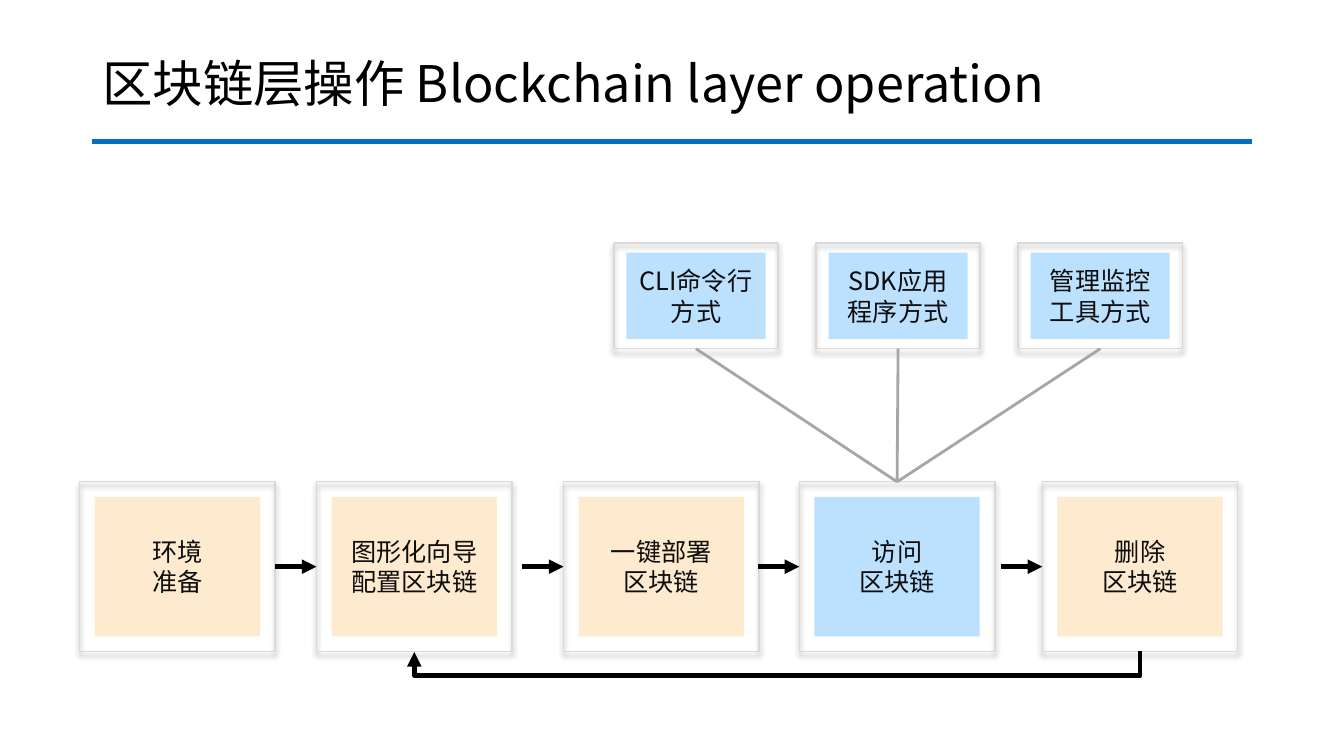
import lxml.etree
import pptx
import pptx.dml.color
import pptx.enum.shapes
import pptx.enum.text
import pptx.oxml.ns
import pptx.util

COLUMNS, ROWS = 160, 90
CELL = pptx.util.Emu(76200)
FONT = "Noto Sans CJK SC"
COLORS = {
    "title": "000000", "rule": "0071C1", "label": "0D0D0D", "frame": "D9D9D9",
    "step": "FEEACE", "access": "BCE1FE", "arrow": "000000", "spoke": "A6A6A6",
}
STEP_ROW, STEP_WIDTH, STEP_HEIGHT = 57.36, 23.28, 20.2
STEP_INSET = (1.8, 1.8)
STEPS = [
    (9.48, "环境\n准备", "step"),
    (37.68, "图形化向导\n配置区块链", "step"),
    (67.08, "一键部署\n区块链", "step"),
    (95.16, "访问\n区块链", "access"),
    (124.08, "删除\n区块链", "step"),
]
WAY_LEFT, WAY_PITCH, WAY_ROW, WAY_WIDTH, WAY_HEIGHT = 73.08, 24.06, 28.92, 19.56, 12.6
WAY_INSET = (1.5, 1.15)
WAYS = ["CLI命令行方式", "SDK应用程序方式", "管理监控工具方式"]
ARROW_LENGTH = 4.9
RETURN_DROP, RETURN_OFFSET = 3, 0.12
TOP_SITE, BOTTOM_SITE = 0, 2


def grid(*lengths):
    return [pptx.util.Emu(round(length * CELL)) for length in lengths]


def color(name):
    return pptx.dml.color.RGBColor.from_string(COLORS[name])


def add_xml(parent, tag, **attributes):
    return lxml.etree.SubElement(parent, pptx.oxml.ns.qn(tag), attributes)


def write(frame, text, size, color_name, align):
    frame.word_wrap = True
    frame.vertical_anchor = pptx.enum.text.MSO_ANCHOR.MIDDLE
    frame.text = text
    for paragraph in frame.paragraphs:
        paragraph.alignment = align
        paragraph.font.size = pptx.util.Pt(size)
        paragraph.font.color.rgb = color(color_name)
        paragraph.font.name = FONT
        defaults = paragraph.font.fill._xPr
        add_xml(defaults, "a:ea", typeface=FONT)


def add_title(slide, text):
    title = slide.shapes.add_textbox(*grid(11, 4.8, 138, 11)).text_frame
    write(title, text, 36, "title", pptx.enum.text.PP_ALIGN.LEFT)
    title.paragraphs[0].line_spacing = 0.9


def add_rect(slide, left, top, width, height):
    rect = slide.shapes.add_shape(
        pptx.enum.shapes.MSO_SHAPE.RECTANGLE, *grid(left, top, width, height))
    rect.shadow.inherit = False
    return rect


def add_framed_box(slide, left, top, width, height, inset, text, fill):
    frame = add_rect(slide, left, top, width, height)
    frame.fill.background()
    frame.line.color.rgb = color("frame")
    frame.line.width = pptx.util.Pt(1)
    effects = frame._element.spPr.find(pptx.oxml.ns.qn("a:effectLst"))
    shadow = add_xml(effects, "a:outerShdw", blurRad="50800", dist="38100",
                     dir="5400000", algn="t", rotWithShape="0")
    add_xml(add_xml(shadow, "a:srgbClr", val="000000"), "a:alpha", val="40000")

    across, down = inset
    label = add_rect(slide, left + across, top + down,
                     width - 2 * across, height - 2 * down)
    label.fill.solid()
    label.fill.fore_color.rgb = color(fill)
    label.line.fill.background()
    label.text_frame.margin_left = label.text_frame.margin_right = pptx.util.Inches(0.08)
    write(label.text_frame, text, 18, "label", pptx.enum.text.PP_ALIGN.CENTER)
    return frame


def add_line(slide, start, end, color_name, width, arrow=False, kind="STRAIGHT"):
    line = slide.shapes.add_connector(
        pptx.enum.shapes.MSO_CONNECTOR[kind], *grid(*start, *end))
    line.line.color.rgb = color(color_name)
    line.line.width = pptx.util.Pt(width)
    if arrow:
        add_xml(line.line._get_or_add_ln(), "a:tailEnd", type="triangle")
    add_xml(line._element.spPr, "a:effectLst")
    return line


def add_return_arrow(slide, start_column, end_column, row):
    middle = (start_column + end_column) / 2
    half_span = (start_column - end_column) / 2
    half_offset = RETURN_OFFSET / 2
    arrow = add_line(slide, (middle - half_offset, row - half_span),
                     (middle + half_offset, row + half_span),
                     "arrow", 3.5, arrow=True, kind="ELBOW")
    properties = arrow._element.spPr
    properties.find(pptx.oxml.ns.qn("a:xfrm")).set("rot", "5400000")
    geometry = properties.find(pptx.oxml.ns.qn("a:prstGeom"))
    adjustments = geometry.find(pptx.oxml.ns.qn("a:avLst"))
    drop = round(RETURN_DROP / RETURN_OFFSET * 100000)
    add_xml(adjustments, "a:gd", name="adj1", fmla=f"val {drop}")


def main():
    presentation = pptx.Presentation()
    presentation.slide_width, presentation.slide_height = grid(COLUMNS, ROWS)
    slide = presentation.slides.add_slide(presentation.slide_layouts[6])

    add_title(slide, "区块链层操作 Blockchain layer operation")
    add_line(slide, (11, 16.8), (149, 16.8), "rule", 3.5)

    steps = [add_framed_box(slide, left, STEP_ROW, STEP_WIDTH, STEP_HEIGHT,
                            STEP_INSET, text, fill)
             for left, text, fill in STEPS]
    ways = [add_framed_box(slide, WAY_LEFT + index * WAY_PITCH, WAY_ROW, WAY_WIDTH,
                           WAY_HEIGHT, WAY_INSET, text, "access")
            for index, text in enumerate(WAYS)]

    arrow_row = STEP_ROW + STEP_HEIGHT / 2
    for left, _, _ in STEPS[1:]:
        add_line(slide, (left - ARROW_LENGTH, arrow_row), (left, arrow_row),
                 "arrow", 3.5, arrow=True)

    centers = [left + STEP_WIDTH / 2 for left, _, _ in STEPS]
    add_return_arrow(slide, centers[4], centers[1], STEP_ROW + STEP_HEIGHT)

    for way in ways:
        spoke = add_line(slide, (0, 0), (1, 1), "spoke", 2)
        spoke.begin_connect(steps[3], TOP_SITE)
        spoke.end_connect(way, BOTTOM_SITE)

    presentation.save("out.pptx")


if __name__ == "__main__":
    main()
